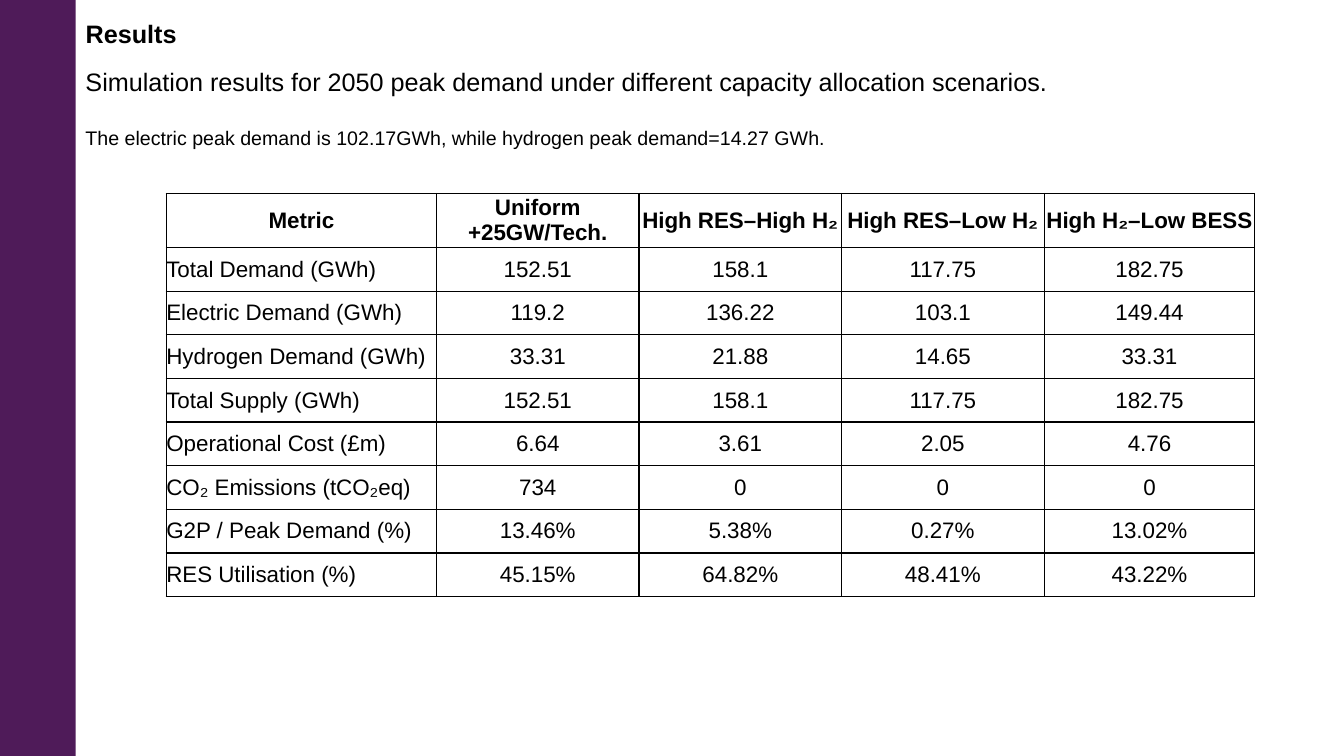
from lxml import etree
from pptx import Presentation
from pptx.dml.color import RGBColor
from pptx.enum.shapes import MSO_SHAPE
from pptx.enum.text import MSO_ANCHOR, MSO_AUTO_SIZE, PP_ALIGN
from pptx.oxml.ns import qn
from pptx.util import Pt

RECT = MSO_SHAPE.RECTANGLE
TOP, MIDDLE = MSO_ANCHOR.TOP, MSO_ANCHOR.MIDDLE
LEFT, CENTER = PP_ALIGN.LEFT, PP_ALIGN.CENTER
NO_FIT = MSO_AUTO_SIZE.NONE

PURPLE, BLACK, WHITE = "4F1B59", "000000", "FFFFFF"
TITLE_ONLY = 5
SIDEBAR_W = 54

HEADER_H, ROW_H = 38.6, 31.2
COL_WIDTHS = [193, 144.7, 144.7, 144.7, 150.5]
RESULTS = [
    ["Metric", "Uniform +25GW/Tech.", "High RES–High H₂", "High RES–Low H₂", "High H₂–Low BESS"],
    ["Total Demand (GWh)", "152.51", "158.1", "117.75", "182.75"],
    ["Electric Demand (GWh)", "119.2", "136.22", "103.1", "149.44"],
    ["Hydrogen Demand (GWh)", "33.31", "21.88", "14.65", "33.31"],
    ["Total Supply (GWh)", "152.51", "158.1", "117.75", "182.75"],
    ["Operational Cost (£m)", "6.64", "3.61", "2.05", "4.76"],
    ["CO₂ Emissions (tCO₂eq)", "734", "0", "0", "0"],
    ["G2P / Peak Demand (%)", "13.46%", "5.38%", "0.27%", "13.02%"],
    ["RES Utilisation (%)", "45.15%", "64.82%", "48.41%", "43.22%"],
]


def rgb(hex_color):
    return RGBColor.from_string(hex_color)


def set_attrs(obj, values):
    for name, value in values.items():
        setattr(obj, name, value)


def write(p, text, size, bold=False, align=LEFT):
    r = p.add_run()
    r.text = text
    p.alignment = align
    set_attrs(r.font, {"name": "Arial", "size": Pt(size), "bold": bold})
    r.font.color.rgb = rgb(BLACK)


def place(sp, left, top, width, height):
    set_attrs(sp, {"left": Pt(left), "top": Pt(top), "width": Pt(width), "height": Pt(height)})


def add_sidebar(s, height):
    sp = s.shapes.add_shape(RECT, 0, 0, Pt(SIDEBAR_W), height)
    sp.shadow.inherit = False
    sp.fill.solid()
    sp.fill.fore_color.rgb = rgb(PURPLE)
    sp.line.fill.background()


def add_title(s, text):
    sp = s.shapes.title
    place(sp, SIDEBAR_W, 9.4, 80, 29)
    tf = sp.text_frame
    set_attrs(tf, {"word_wrap": False, "auto_size": NO_FIT, "vertical_anchor": TOP})
    write(tf.paragraphs[0], text, 18, bold=True)


def add_summary(s, lead, detail):
    tf = s.shapes.add_textbox(Pt(SIDEBAR_W), Pt(43.9), Pt(753.8), Pt(67.7)).text_frame
    tf.word_wrap = True
    write(tf.paragraphs[0], lead, 18)
    p = tf.add_paragraph()
    p.space_before = Pt(20.7)
    write(p, detail, 14)


def add_borders(cell):
    tc_pr = cell._tc.get_or_add_tcPr()
    for side in ("a:lnL", "a:lnR", "a:lnT", "a:lnB"):
        ln = etree.SubElement(tc_pr, qn(side), w=str(Pt(1)))
        fill = etree.SubElement(ln, qn("a:solidFill"))
        etree.SubElement(fill, qn("a:srgbClr"), val=BLACK)


def format_cell(cell):
    margins = ("margin_left", "margin_right", "margin_top", "margin_bottom")
    set_attrs(cell, dict.fromkeys(margins, 0))
    cell.vertical_anchor = MIDDLE
    add_borders(cell)
    cell.fill.solid()
    cell.fill.fore_color.rgb = rgb(WHITE)


def add_results_table(s, rows, left, top):
    height = HEADER_H + ROW_H * (len(rows) - 1)
    table = s.shapes.add_table(len(rows), len(COL_WIDTHS), Pt(left), Pt(top),
                               Pt(sum(COL_WIDTHS)), Pt(height)).table
    table.horz_banding = False
    for col, width in zip(table.columns, COL_WIDTHS):
        col.width = Pt(width)
    for i, values in enumerate(rows):
        header = i == 0
        table.rows[i].height = Pt(HEADER_H if header else ROW_H)
        for j, text in enumerate(values):
            cell = table.cell(i, j)
            format_cell(cell)
            align = CENTER if header or j else LEFT
            write(cell.text_frame.paragraphs[0], text, 16, header, align)


def main():
    prs = Presentation()
    prs.slide_width, prs.slide_height = Pt(960), Pt(540)
    s = prs.slides.add_slide(prs.slide_layouts[TITLE_ONLY])
    add_sidebar(s, prs.slide_height)
    add_title(s, "Results")
    add_summary(
        s,
        "Simulation results for 2050 peak demand under different capacity allocation scenarios.",
        "The electric peak demand is 102.17GWh, while hydrogen peak demand=14.27 GWh.",
    )
    add_results_table(s, RESULTS, 118.8, 138.2)
    prs.save("out.pptx")


if __name__ == "__main__":
    main()
